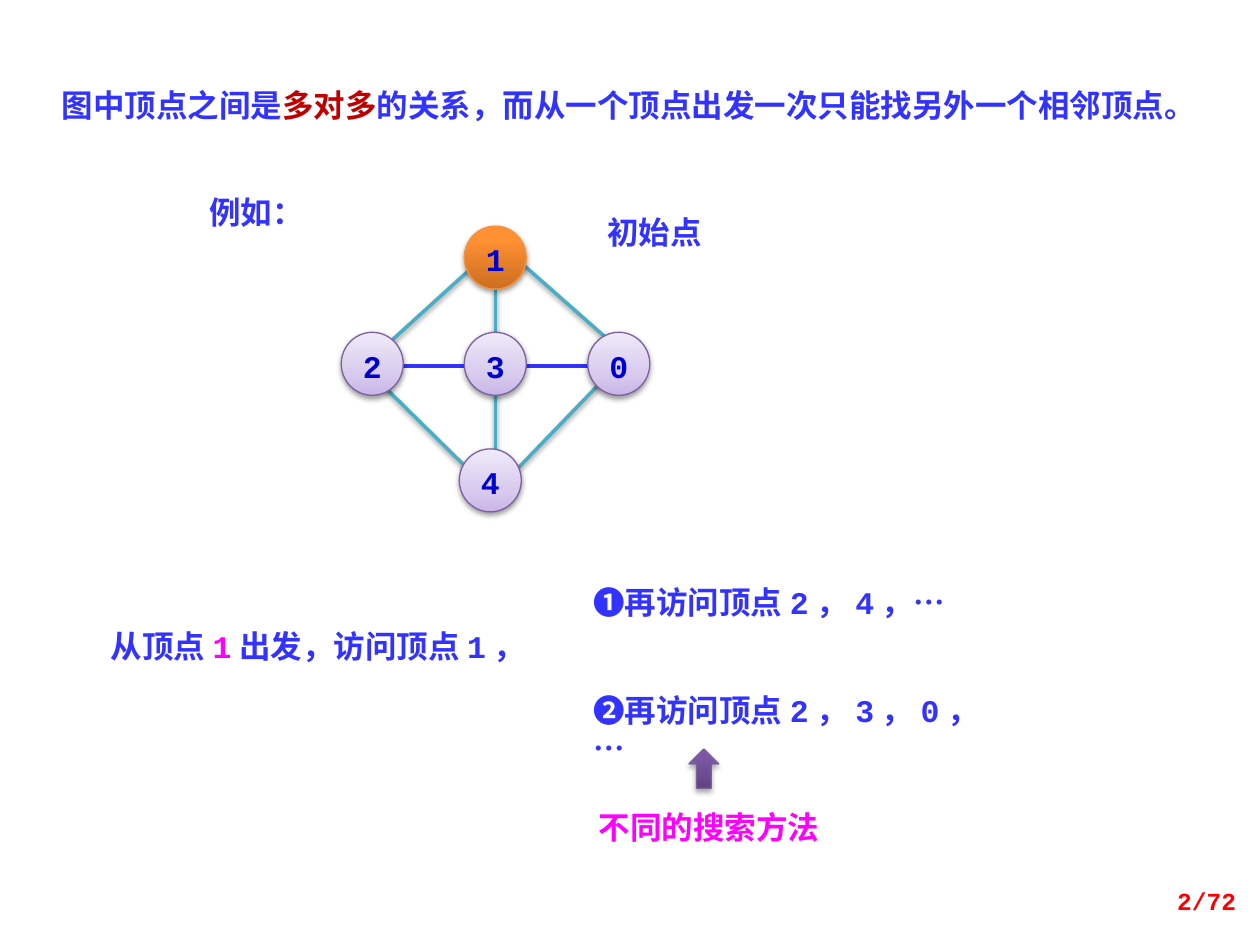
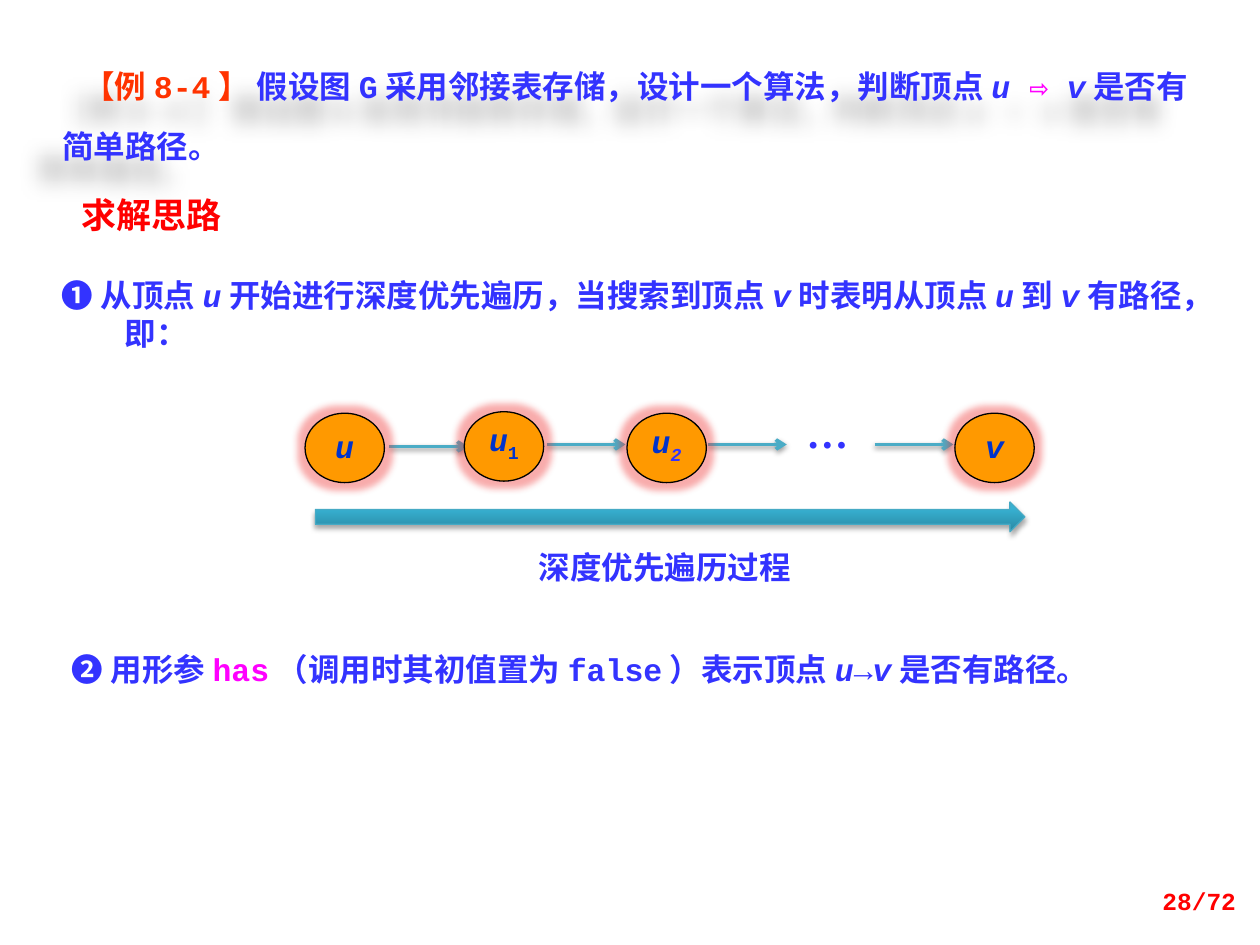
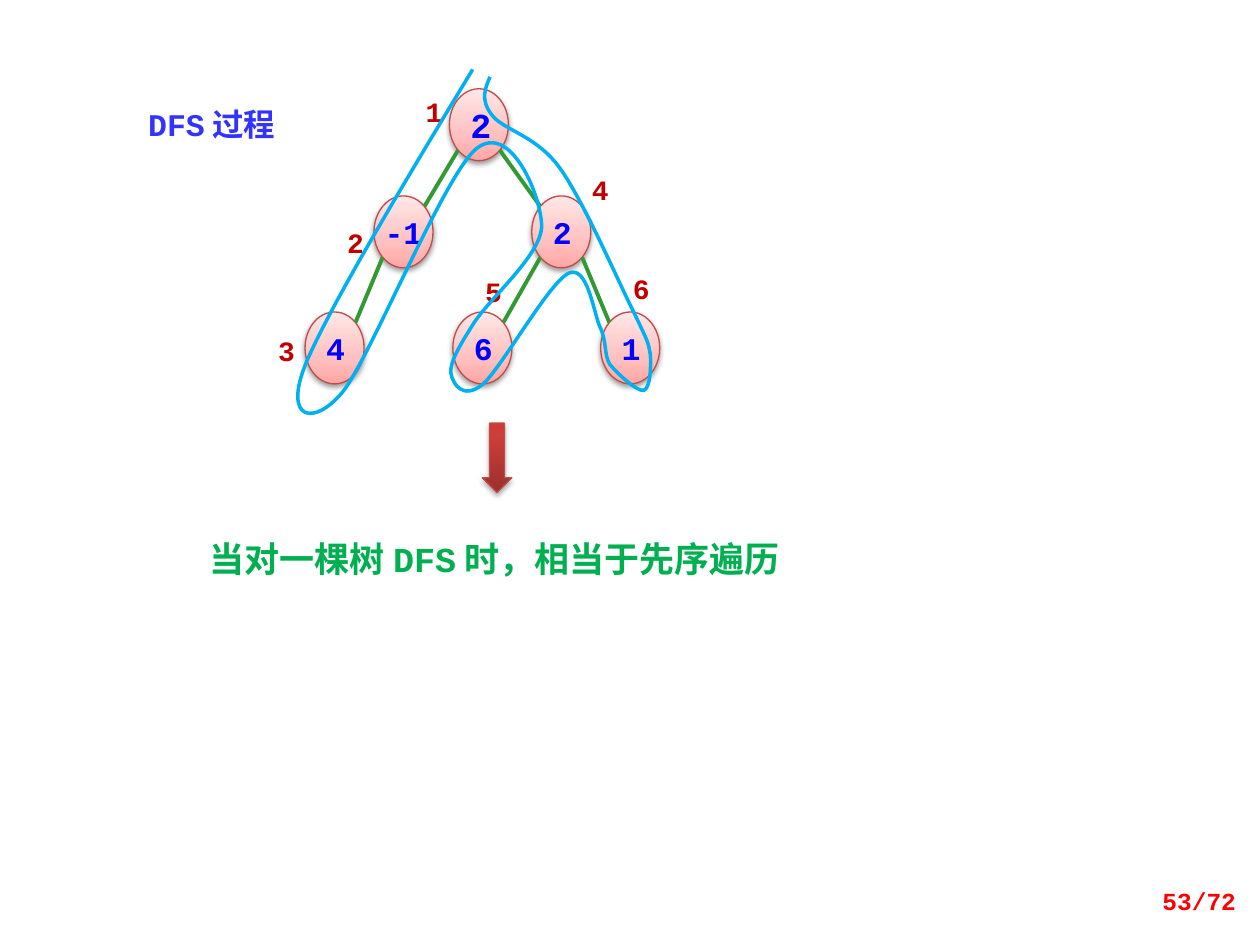
import pptx
import pptx.dml.color
import pptx.enum.shapes
import pptx.enum.text
import pptx.oxml
import pptx.oxml.ns
import pptx.util

Cm = pptx.util.Cm
Pt = pptx.util.Pt
RGB = pptx.dml.color.RGBColor
SHAPES = pptx.enum.shapes.MSO_SHAPE
STRAIGHT = pptx.enum.shapes.MSO_CONNECTOR.STRAIGHT
ALIGN = pptx.enum.text.PP_ALIGN
ANCHOR = pptx.enum.text.MSO_ANCHOR
FIT = pptx.enum.text.MSO_AUTO_SIZE
qn = pptx.oxml.ns.qn

MONO = "Courier New"
HAN = "Noto Sans CJK SC"
HAN_ALT = "Noto Sans CJK JP"
ELLIPSIS_FONT = "Times New Roman"

BLACK = RGB(0x00, 0x00, 0x00)
WHITE = RGB(0xFF, 0xFF, 0xFF)
BLUE = RGB(0x33, 0x33, 0xFF)
VERTEX_BLUE = RGB(0x00, 0x00, 0xCC)
PATH_BLUE = RGB(0x00, 0x33, 0xCC)
TREE_BLUE = RGB(0x00, 0x00, 0xFF)
RED = RGB(0xFF, 0x00, 0x00)
DARK_RED = RGB(0xC0, 0x00, 0x00)
ORANGE_RED = RGB(0xFF, 0x33, 0x00)
GLOW_RED = RGB(0xF0, 0x30, 0x30)
MAGENTA = RGB(0xFF, 0x00, 0xFF)
GREEN = RGB(0x00, 0xB0, 0x50)
EDGE_GREEN = RGB(0x33, 0x99, 0x33)
TEAL = RGB(0x4B, 0xAC, 0xC6)
SKY = RGB(0x00, 0xB0, 0xF0)
ORANGE = RGB(0xFF, 0x99, 0x00)

# Gradient stops from bottom to top, and the outline colour
ORANGE_BALL = ([(0, "CC6E20"), (80, "FF9034"), (100, "FF9136")], RGB(0xF6, 0x92, 0x40))
LILAC_BALL = ([(0, "C9B5E8"), (35, "D8CBEE"), (100, "F0EAF9")], RGB(0x7D, 0x60, 0xA0))
PINK_BALL = ([(0, "FFA6A5"), (35, "FFC0BF"), (100, "FFE7E7")], RGB(0xBF, 0x4C, 0x48))
PURPLE_ARROW = ([(0, "5F4480"), (80, "7B58A6"), (100, "7C57A8")], RGB(0x7D, 0x60, 0xA0))
TEAL_ARROW = ([(0, "2A88A2"), (80, "37B1D2"), (100, "34B4D6")], RGB(0x46, 0xAA, 0xC5))
RED_ARROW = ([(0, "9C2F2D"), (80, "CB3E3A"), (100, "CE3B37")], RGB(0xBF, 0x4C, 0x48))

PLAIN = {"name": MONO, "size": Pt(18), "bold": True, "italic": False, "color": BLUE}
ITALIC = {"italic": True}
PINK = {"color": MAGENTA}

TREE_NODE_W, TREE_NODE_H = 1.19, 1.45
DIAGONAL = 0.146  # inset of an ellipse's 45° point, as a share of its side

WALK_START = (9.53, 1.4)
WALK_CURVES = [
    ((8.13, 3.71), (6.58, 6.3), (6.15, 7.37)),
    ((5.72, 8.46), (6.32, 8.61), (6.91, 7.9)),
    ((7.49, 7.16), (8.94, 3.56), (9.6, 3.0)),
    ((10.29, 2.44), (10.92, 3.96), (10.92, 4.57)),
    ((10.9, 5.16), (9.83, 6.05), (9.53, 6.55)),
    ((9.22, 7.04), (9.07, 7.32), (9.09, 7.52)),
    ((9.12, 7.72), (9.32, 8.08), (9.73, 7.75)),
    ((10.11, 7.42), (11.05, 5.72), (11.46, 5.51)),
    ((11.84, 5.33), (11.96, 6.27), (12.09, 6.58)),
    ((12.24, 6.88), (12.17, 7.14), (12.29, 7.34)),
    ((12.45, 7.54), (12.85, 7.9), (12.98, 7.87)),
    ((13.11, 7.82), (13.13, 7.39), (13.11, 7.14)),
    ((13.06, 6.88), (13.08, 6.93), (12.78, 6.3)),
    ((12.47, 5.69), (11.76, 4.04), (11.28, 3.38)),
    ((10.8, 2.72), (10.13, 2.62), (9.91, 2.31)),
    ((9.68, 2.01), (9.78, 1.78), (9.88, 1.55)),
]


def add_xml(parent, tag, **attributes):
    child = parent.makeelement(qn(tag), {key: str(value) for key, value in attributes.items()})
    parent.append(child)
    return child


def add_effect(element, tag, color, alpha, **attributes):
    """Add a shadow or glow; without any, the effect list stays empty."""
    properties = element.spPr
    effects = properties.find(qn("a:effectLst"))
    if effects is None:
        effects = add_xml(properties, "a:effectLst")
    if tag:
        tint = add_xml(add_xml(effects, tag, **attributes), "a:srgbClr", val=color)
        add_xml(tint, "a:alpha", val=alpha * 1000)


def add_soft_shadow(shape, alpha=38, distance=1.6):
    add_effect(shape._element, "a:outerShdw", BLACK, alpha, blurRad=Pt(3.1),
               dist=Pt(distance), dir=5400000, rotWithShape=0)


def write(shape, runs, align=ALIGN.LEFT, margins=(0.25, 0.13), anchor=ANCHOR.TOP,
          spacing=None, fit=FIT.NONE, indent=None, **base):
    """Fill one paragraph with runs given as (text, changes to the base style)."""
    frame = shape.text_frame
    side, top, *rest = margins
    settings = {"word_wrap": True, "auto_size": fit, "vertical_anchor": anchor,
                "margin_left": Cm(side), "margin_right": Cm(side),
                "margin_top": Cm(top), "margin_bottom": Cm(rest[0] if rest else top)}
    for key, value in settings.items():
        setattr(frame, key, value)
    paragraph = frame.paragraphs[0]
    paragraph.alignment = align
    if spacing:
        paragraph.line_spacing = spacing
    if indent:
        left, first = indent
        paragraph._p.get_or_add_pPr().set("marL", str(Cm(left)))
        paragraph._p.get_or_add_pPr().set("indent", str(Cm(first)))
    for text, changes in [(runs, {})] if isinstance(runs, str) else runs:
        run = paragraph.add_run()
        run.text = text
        style = {**PLAIN, **base, **changes}
        run.font.color.rgb = style.pop("color")
        baseline = style.pop("baseline", None)
        for key, value in style.items():
            setattr(run.font, key, value)
        properties = run._r.get_or_add_rPr()
        if baseline:
            properties.set("baseline", str(baseline))
        properties.find(qn("a:latin")).addnext(
            properties.makeelement(qn("a:ea"), {"typeface": HAN}))


def add_label(slide, box, runs, fit=FIT.SHAPE_TO_FIT_TEXT, **options):
    label = slide.shapes.add_textbox(*map(Cm, box))
    write(label, runs, fit=fit, **options)
    return label


def add_step(slide, box, runs):
    """A numbered step with a hanging indent on white."""
    step = add_label(slide, box, runs, margins=(0.25, 0.2), indent=(1.27, -1.27))
    step.fill.solid()
    step.fill.fore_color.rgb = WHITE


def set_title(slide, box, runs, **options):
    title = slide.shapes.title
    for key, value in zip(("left", "top", "width", "height"), box):
        setattr(title, key, Cm(value))
    write(title, runs, fit=FIT.SHAPE_TO_FIT_TEXT, **options)
    return title


def add_outlined(slide, kind, box, line_color):
    shape = slide.shapes.add_shape(kind, *map(Cm, box))
    shape.shadow.inherit = False
    shape.line.color.rgb = line_color
    shape.line.width = Pt(0.75)
    return shape


def add_shaded(slide, kind, box, look, **shadow):
    """A preset shape with a bottom-to-top gradient and a soft shadow."""
    stops, line_color = look
    shape = add_outlined(slide, kind, box, line_color)
    shape.fill.gradient()
    shape.fill.gradient_angle = 90
    stop_list = shape._element.spPr.find(qn("a:gradFill")).find(qn("a:gsLst"))
    for stop in list(stop_list):
        stop_list.remove(stop)
    for position, color in stops:
        add_xml(add_xml(stop_list, "a:gs", pos=position * 1000), "a:srgbClr", val=color)
    add_soft_shadow(shape, **shadow)
    return shape


def add_block_arrow(slide, kind, box, look):
    add_shaded(slide, kind, box, look, alpha=35, distance=1.8)


def add_edge(slide, start, end, color=TEAL, width=2, shadow=True, arrow=False):
    edge = slide.shapes.add_connector(STRAIGHT, *map(Cm, (*start, *end)))
    edge.line.color.rgb = color
    edge.line.width = Pt(width)
    if arrow:
        add_xml(edge.line._get_or_add_ln(), "a:tailEnd", type="arrow")
    if shadow:
        add_soft_shadow(edge)
    else:
        add_effect(edge._element, None, None, None)


def add_path_node(slide, left, top, runs):
    node = add_outlined(slide, SHAPES.OVAL, (left, top, 1.6, 1.4), BLACK)
    node.fill.solid()
    node.fill.fore_color.rgb = ORANGE
    add_effect(node._element, "a:glow", GLOW_RED, 40, rad=Pt(8))
    write(node, runs, align=ALIGN.CENTER, margins=(0, 0.13), spacing=Pt(20),
          color=PATH_BLUE, italic=True)


def add_walk(slide, start, curves):
    """Draw a chain of cubic curves as one open outline."""
    builder = slide.shapes.build_freeform(*map(Cm, start))
    builder.add_line_segments(
        [tuple(map(Cm, point)) for curve in curves for point in curve], close=False)
    walk = builder.convert_to_shape()
    segments = list(walk._element.iter(qn("a:lnTo")))
    for first in range(0, len(segments), 3):
        bend = add_xml(segments[first].getparent(), "a:cubicBezTo")
        for segment in segments[first:first + 3]:
            bend.append(segment[0])
            segment.getparent().remove(segment)
    walk.shadow.inherit = False
    walk.fill.background()
    walk.line.color.rgb = SKY
    walk.line.width = Pt(2)


def add_page_number(slide, number):
    add_label(slide, (19.25, 17.65, 5.92, 1.02), f"{number}/72", fit=FIT.NONE,
              align=ALIGN.RIGHT, anchor=ANCHOR.MIDDLE, size=Pt(14), color=RED)


def build_graph_slide(slide):
    set_title(slide, (0.99, 1.38, 23.62, 1.24), [
        ("图中顶点之间是", {}),
        ("多对多", {"name": HAN_ALT, "color": DARK_RED}),
        ("的关系，而从一个顶点出发一次只能找另外一个相邻顶点。", {})], spacing=1.3)

    add_edge(slide, (8.03, 7.38), (11.94, 7.38), color=BLUE, width=2.25, shadow=False)
    for start, end in [((7.75, 7.8), (9.45, 9.47)), ((10.46, 9.42), (12.12, 7.7)),
                       ((10.46, 5.26), (12.24, 6.83)), ((9.53, 5.38), (7.59, 7.14)),
                       ((9.99, 5.82), (9.99, 9.63))]:
        add_edge(slide, start, end)
    for vertex, left, top in [("1", 9.36, 4.56), ("3", 9.36, 6.7), ("0", 11.85, 6.7),
                              ("2", 6.88, 6.7), ("4", 9.26, 9.05)]:
        ball = add_shaded(slide, SHAPES.OVAL, (left, top, 1.25, 1.27),
                          ORANGE_BALL if vertex == "1" else LILAC_BALL)
        write(ball, vertex, align=ALIGN.CENTER, margins=(0, 0.3, 0), spacing=0.72,
              color=VERTEX_BLUE)

    add_label(slide, (3.97, 3.76, 3.38, 1.02), "例如：", name=HAN)
    add_label(slide, (11.71, 4.17, 2.97, 1.02), "初始点", name=HAN, align=ALIGN.CENTER)
    add_label(slide, (1.98, 12.52, 9.73, 1.02),
              [("从顶点", {}), ("1", PINK), ("出发，访问顶点1，", {})])
    for top, width, visit in [(11.63, 8.13, "❶再访问顶点2，4，"),
                              (13.8, 8.94, "❷再访问顶点2，3，0， ")]:
        add_label(slide, (11.71, top, width, 1.02), [(visit, {}), ("…", {"name": HAN})])
    add_block_arrow(slide, SHAPES.UP_ARROW, (13.89, 15.1, 0.6, 0.79), PURPLE_ARROW)
    add_label(slide, (10.91, 16.15, 6.76, 1.02), "不同的搜索方法", name=HAN_ALT,
              align=ALIGN.CENTER, color=MAGENTA)


def build_path_slide(slide):
    question = set_title(slide, (1, 0.79, 23.22, 2.54), [
        ("【例8-4】 ", {"color": ORANGE_RED}),
        ("假设图G采用邻接表存储，设计一个算法，判断顶点", {}),
        ("u ", ITALIC), ("⇨ ", PINK), ("v", ITALIC), ("是否有简单路径。", {})],
        spacing=Pt(34), indent=(0, 0.43))
    add_effect(question._element, "a:outerShdw", BLACK, 28, blurRad=Pt(11.8),
               dist=Pt(19.7), dir=8460000, algn="ctr")
    add_step(slide, (1, 5.36, 23.6, 1.17), [
        ("❶ 从顶点", {}), ("u", ITALIC), ("开始进行深度优先遍历，当搜索到顶点", {}),
        ("v", ITALIC), ("时表明从顶点", {}), ("u", ITALIC), ("到", {}), ("v", ITALIC),
        ("有路径，即：", {})])
    add_step(slide, (1.2, 12.9, 23.01, 1.17), [
        ("❷ 用形参", {}), ("has", PINK), ("（调用时其初值置为false）表示顶点", {}),
        ("u", ITALIC), ("→", {}), ("v", ITALIC), ("是否有路径。", {})])

    for left, top in [(7.85, 9), (11.02, 8.96), (14.27, 8.96), (17.63, 8.96)]:
        add_edge(slide, (left, top), (left + 1.59, top), arrow=True)
    subscript = {"italic": False, "baseline": -25000}
    for left, top, runs in [
            (6.15, 8.33, "u"),
            (9.36, 8.3, [("u", {}), ("1", subscript)]),
            (12.64, 8.33, [("u", {}), ("2", {"color": BLUE, "baseline": -25000})]),
            (19.25, 8.33, "v")]:
        add_path_node(slide, left, top, runs)
    add_label(slide, (15.88, 8.06, 1.6, 1.27), "…", align=ALIGN.CENTER,
              name=ELLIPSIS_FONT, size=Pt(24))
    add_block_arrow(slide, SHAPES.RIGHT_ARROW, (6.36, 10.12, 14.3, 0.6), TEAL_ARROW)
    add_label(slide, (9.94, 10.92, 6.93, 1.02), "深度优先遍历过程", name=HAN,
              align=ALIGN.CENTER)
    add_label(slide, (1.4, 3.77, 4.37, 1.12), "求解思路", name=HAN, size=Pt(20), color=RED)


def build_tree_slide(slide):
    set_title(slide, (2.39, 1.98, 3.76, 1.02), "DFS过程", align=ALIGN.CENTER)

    # Nodes in preorder: value, left, top, parent's index
    nodes = [("2", 9.06, 1.79, None), ("-1", 7.54, 3.95, 0), ("4", 6.15, 6.29, 1),
             ("2", 10.72, 3.95, 0), ("6", 9.13, 6.29, 3), ("1", 12.11, 6.29, 3)]
    for value, left, top, parent in nodes:
        ball = add_shaded(slide, SHAPES.OVAL, (left, top, TREE_NODE_W, TREE_NODE_H), PINK_BALL)
        write(ball, value, align=ALIGN.CENTER, anchor=ANCHOR.MIDDLE,
              margins=(0.25 if len(value) == 1 else 0, 0.13),
              color=TREE_BLUE, size=Pt(20 if parent is None else 18))
    near, far = DIAGONAL, 1 - DIAGONAL
    for value, left, top, parent in nodes[1:]:
        _, parent_left, parent_top, _ = nodes[parent]
        leave, arrive = (near, far) if left < parent_left else (far, near)
        add_edge(slide,
                 (parent_left + leave * TREE_NODE_W, parent_top + far * TREE_NODE_H),
                 (left + arrive * TREE_NODE_W, top + near * TREE_NODE_H),
                 color=EDGE_GREEN, width=2.25, shadow=False)

    visits = [(8.33, 1.78), (6.75, 4.42), (5.36, 6.6), (11.68, 3.35), (9.53, 5.41), (12.51, 5.35)]
    for order, (left, top) in enumerate(visits, 1):
        add_label(slide, (left, top, 0.79, 0.94), str(order), align=ALIGN.CENTER,
                  size=Pt(16), color=DARK_RED)
    add_label(slide, (3.97, 10.7, 12.12, 1.12), "当对一棵树DFS时，相当于先序遍历",
              size=Pt(20), color=GREEN)
    add_block_arrow(slide, SHAPES.DOWN_ARROW, (9.72, 8.53, 0.6, 1.4), RED_ARROW)
    add_walk(slide, WALK_START, WALK_CURVES)


def main():
    deck = pptx.Presentation()
    deck.slide_width, deck.slide_height = Cm(25.4), Cm(19.05)
    title_only = deck.slide_layouts[5]
    for number, build in [(2, build_graph_slide), (28, build_path_slide), (53, build_tree_slide)]:
        slide = deck.slides.add_slide(title_only)
        build(slide)
        add_page_number(slide, number)
    deck.save("out.pptx")


if __name__ == "__main__":
    main()
